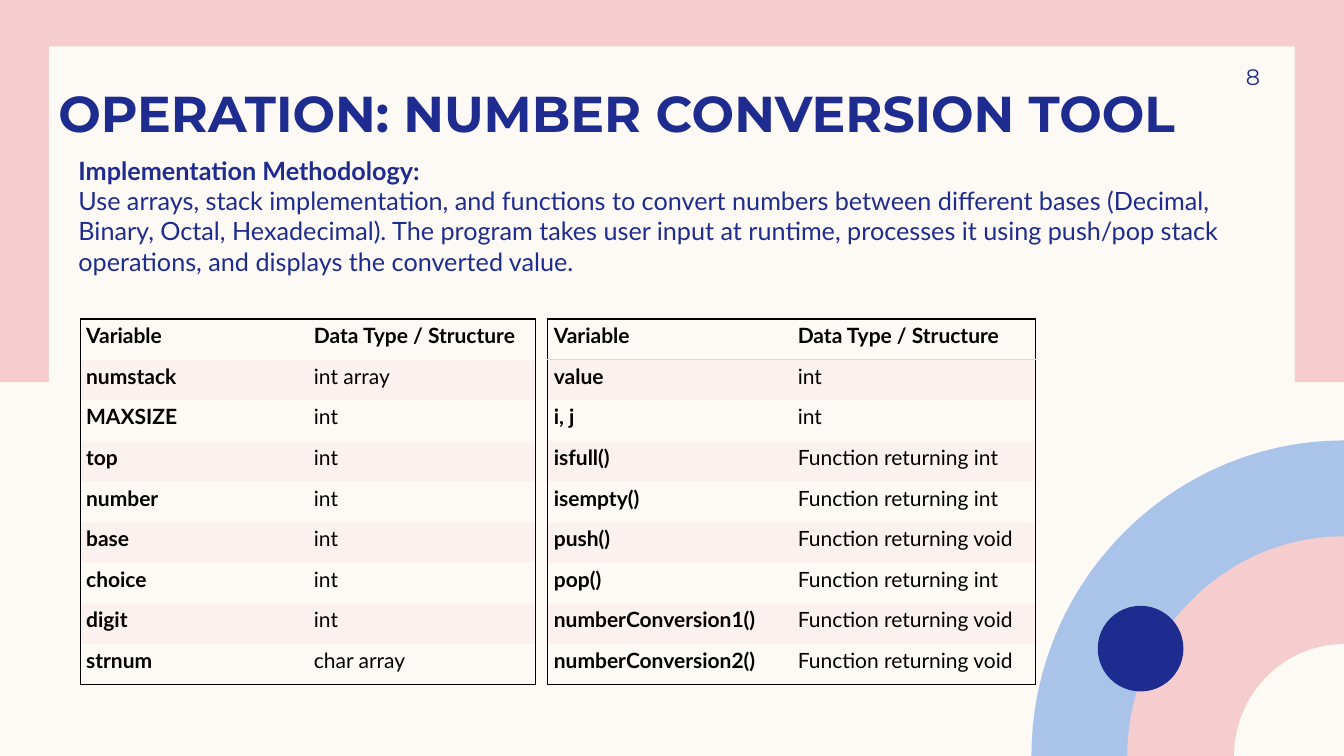
from lxml import etree
from pptx import Presentation
from pptx import util as u
from pptx.dml.color import RGBColor
from pptx.enum import shapes, text
from pptx.oxml import ns

CREAM = RGBColor(0xFD, 0xFA, 0xF6)
PINK = RGBColor(0xF5, 0xCD, 0xCE)
SKY = RGBColor(0xAA, 0xC3, 0xE8)
NAVY = RGBColor(0x1F, 0x2C, 0x8F)
BLACK = RGBColor(0, 0, 0)

UNIT = u.Inches(0.1)  # side of one grid square
COLUMNS, ROWS = 133.33, 75
ARC_HANDLE = 0.55  # length of a curve handle as a share of the radius
PLAIN_TABLE = "{2D5ABB26-0587-4C30-8999-92F81FD0307C}"

HEADER = ("Variable", "Data Type / Structure")
STACK_VARIABLES = [
    HEADER,
    ("numstack", "int array"),
    ("MAXSIZE", "int"),
    ("top", "int"),
    ("number", "int"),
    ("base", "int"),
    ("choice", "int"),
    ("digit", "int"),
    ("strnum", "char array"),
]
FUNCTIONS = [
    HEADER,
    ("value", "int"),
    ("i, j", "int"),
    ("isfull()", "Function returning int"),
    ("isempty()", "Function returning int"),
    ("push()", "Function returning void"),
    ("pop()", "Function returning int"),
    ("numberConversion1()", "Function returning void"),
    ("numberConversion2()", "Function returning void"),
]


def grid(*squares):
    """Turn counts of grid squares into slide lengths."""
    return [u.Emu(round(count * UNIT)) for count in squares]


class SlideBuilder:
    heading_font = "Montserrat"
    body_font = "Lato"

    def __init__(self, slide):
        self.slide = slide
        fill = slide.background.fill
        fill.solid()
        fill.fore_color.rgb = CREAM

    def paint(self, shape, color):
        shape.shadow.inherit = False
        shape.fill.solid()
        shape.fill.fore_color.rgb = color
        shape.line.fill.background()

    def preset(self, kind, box, color):
        self.paint(self.slide.shapes.add_shape(kind, *grid(*box)), color)

    def corner_disc(self, radius_x, radius_y, color):
        """Draw a quarter disc around the bottom right corner of the slide."""
        left, top = COLUMNS - radius_x, ROWS - radius_y
        outline = [
            (left, ROWS),
            (left, ROWS - ARC_HANDLE * radius_y),
            (COLUMNS - ARC_HANDLE * radius_x, top),
            (COLUMNS, top),
        ]
        builder = self.slide.shapes.build_freeform(*grid(COLUMNS, ROWS))
        builder.add_line_segments([grid(*point) for point in outline], close=True)
        shape = builder.convert_to_shape()
        # The last three segments become the handles and the end of one curve.
        arc_steps = list(shape._element.iter(ns.qn("a:lnTo")))[1:4]
        curve = etree.Element(ns.qn("a:cubicBezTo"))
        arc_steps[0].addprevious(curve)
        for step in arc_steps:
            curve.append(step[0])
            step.getparent().remove(step)
        self.paint(shape, color)

    def run(self, paragraph, words, size, font, color, bold=False):
        run = paragraph.add_run()
        run.text = words
        run.font.size = u.Pt(size)
        run.font.name = font
        run.font.color.rgb = color
        run.font.bold = bold

    def text_box(self, box, lines, size, font, anchor, align, margins):
        """Write one paragraph for each (words, bold) pair."""
        frame = self.slide.shapes.add_textbox(*grid(*box)).text_frame
        frame.word_wrap = True
        frame.vertical_anchor = anchor
        (frame.margin_left, frame.margin_top,
         frame.margin_right, frame.margin_bottom) = grid(*margins)
        for index, (words, bold) in enumerate(lines):
            paragraph = frame.add_paragraph() if index else frame.paragraphs[0]
            paragraph.alignment = align
            self.run(paragraph, words, size, font, NAVY, bold)

    def borders(self, cell, colors):
        """Set the borders by side; a side without a colour gets no line."""
        properties = cell._tc.get_or_add_tcPr()
        for side in "LRTB":
            line = etree.SubElement(properties, ns.qn(f"a:ln{side}"), w=str(u.Pt(1)))
            if side in colors:
                solid = etree.SubElement(line, ns.qn("a:solidFill"))
                etree.SubElement(solid, ns.qn("a:srgbClr"), val=str(colors[side]))
            else:
                etree.SubElement(line, ns.qn("a:noFill"))

    def tint(self, cell, striped):
        if not striped:
            cell.fill.background()
            return
        cell.fill.solid()
        cell.fill.fore_color.rgb = PINK
        color = cell._tc.tcPr.find(ns.qn("a:solidFill"))[0]
        etree.SubElement(color, ns.qn("a:alpha"), val="20000")

    def table(self, box, records, header_rule=None):
        """Draw a framed two-column table with every second row striped."""
        frame = self.slide.shapes.add_table(len(records), len(HEADER), *grid(*box))
        table = frame.table
        table.first_row = table.horz_banding = False
        table._tbl.tblPr.find(ns.qn("a:tableStyleId")).text = PLAIN_TABLE
        last = len(records) - 1
        for row, record in enumerate(records):
            for column, words in enumerate(record):
                cell = table.cell(row, column)
                sides = {"R" if column else "L": BLACK}
                if row == 0:
                    sides["T"] = BLACK
                if row == last:
                    sides["B"] = BLACK
                if header_rule and row < 2:
                    sides["T" if row else "B"] = header_rule
                self.borders(cell, sides)
                self.tint(cell, row % 2 == 1)
                cell.margin_left = cell.margin_right = u.Inches(0.06)
                cell.margin_top = cell.margin_bottom = 0
                paragraph = cell.text_frame.paragraphs[0]
                paragraph.line_spacing = 1.15
                paragraph.space_after = u.Pt(8)
                bold = row == 0 or column == 0
                self.run(paragraph, words, 15, self.body_font, BLACK, bold)


def main():
    presentation = Presentation()
    presentation.slide_width, presentation.slide_height = grid(COLUMNS, ROWS)
    builder = SlideBuilder(presentation.slides.add_slide(presentation.slide_layouts[6]))

    builder.preset(shapes.MSO_SHAPE.RECTANGLE, (-0.3, 0, 133.63, 37.9), PINK)
    builder.preset(shapes.MSO_SHAPE.RECTANGLE, (4.85, 4.6, 123.6, 65.9), CREAM)
    for radius_x, radius_y, color in (
        (31, 31.3, SKY), (21.5, 21.8, PINK), (10.9, 11.1, CREAM)
    ):
        builder.corner_disc(radius_x, radius_y, color)
    builder.preset(shapes.MSO_SHAPE.OVAL, (108.9, 60.1, 8.5, 8.5), NAVY)

    anchors, aligns = text.MSO_ANCHOR, text.PP_ALIGN
    builder.text_box(
        (4.8, 7.85, 120.2, 6.3), [("OPERATION: NUMBER CONVERSION TOOL", True)],
        36, builder.heading_font, anchors.BOTTOM, aligns.LEFT, (1, 0, 1, 0))
    builder.text_box(
        (113.3, 5, 11.7, 5.2), [("8", False)],
        16, builder.heading_font, anchors.MIDDLE, aligns.RIGHT, (1, 0.5, 0, 0.5))
    methodology = [
        ("Implementation Methodology:", True),
        ("Use arrays, stack implementation, and functions to convert numbers between "
         "different bases (Decimal, Binary, Octal, Hexadecimal). The program takes user "
         "input at runtime, processes it using push/pop stack operations, and displays "
         "the converted value.", False),
    ]
    builder.text_box(
        (6.8, 14.9, 118.2, 13.1), methodology,
        18, builder.body_font, anchors.TOP, aligns.LEFT, (1, 0.5, 1, 0.5))

    builder.table((7.95, 31.65, 45.2, 36.3), STACK_VARIABLES)
    builder.table((54.35, 31.65, 48.4, 36.3), FUNCTIONS, header_rule=PINK)

    presentation.save("out.pptx")


if __name__ == "__main__":
    main()
